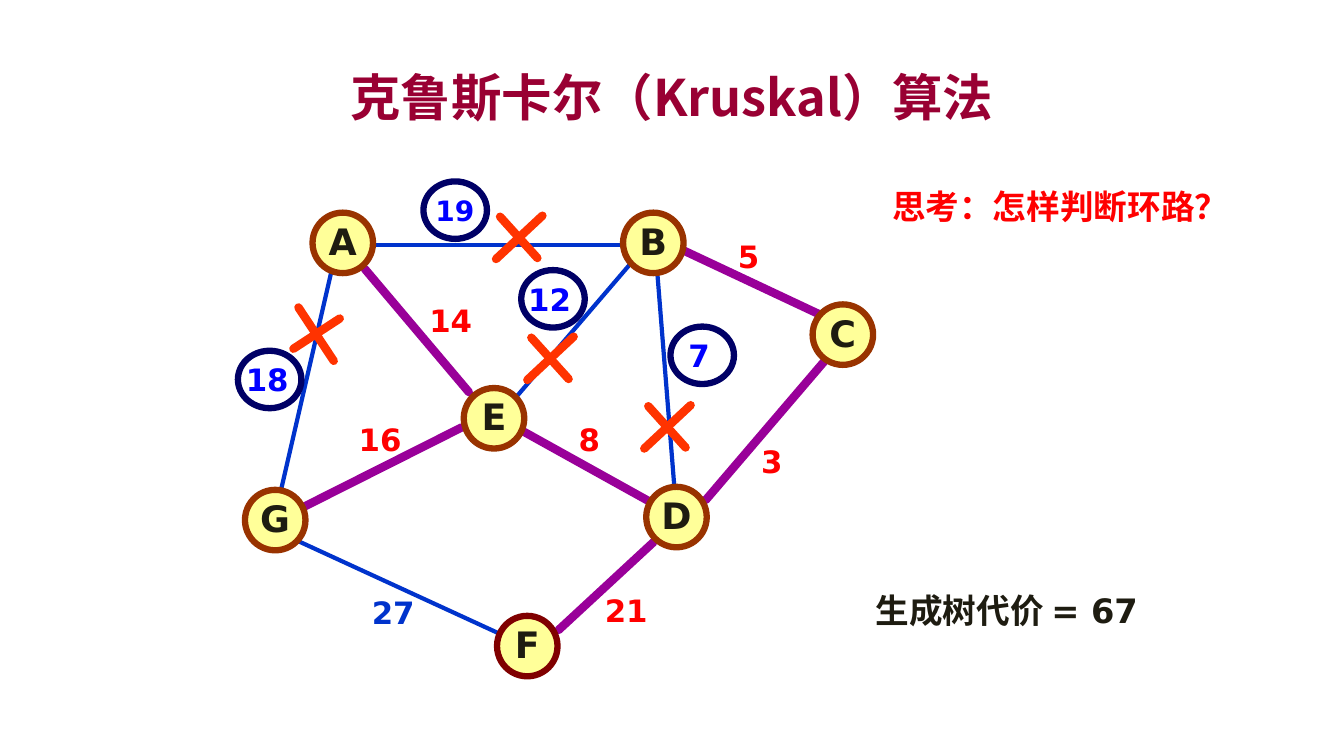
from lxml.etree import SubElement
from pptx import Presentation
from pptx.dml.color import RGBColor
from pptx.enum.shapes import MSO_CONNECTOR as Link, MSO_SHAPE as Shape
from pptx.enum.text import MSO_ANCHOR as Anchor, MSO_AUTO_SIZE as Fit, PP_ALIGN as Align
from pptx.oxml.ns import qn
from pptx.util import Emu, Pt

PX = 9144  # 100 px to the inch
NODE, LABEL_HEIGHT = 60, 47
RING = (63, 57)

# name: (left, top, outline)
NODES = {
    "A": (310, 211, "993300"),
    "B": (618, 211, "993300"),
    "C": (806, 302, "993300"),
    "D": (641, 483, "993300"),
    "E": (460, 385, "993300"),
    "F": (493, 611, "800000"),
    "G": (243, 486, "993300"),
}

# start, end, weight, weight's left and top
TREE_EDGES = [
    ((362, 267), (465, 389), 14, (416, 294)),
    ((519, 428), (645, 498), 8, (564, 412)),
    ((818, 358), (700, 496), 3, (745, 434)),
    ((679, 249), (813, 312), 5, (722, 231)),
    ((301, 503), (458, 424), 16, (346, 412)),
    ((648, 538), (554, 625), 21, (590, 582)),
]
REJECTED_EDGES = [
    ((369, 243), (617, 243), 19, (422, 187)),
    ((625, 262), (511, 395), 12, (514, 274)),
    ((329, 268), (279, 485), 18, (234, 353)),
    ((652, 271), (669, 485), 7, (673, 329)),
]
UNUSED_EDGES = [((294, 536), (494, 628), 27, (359, 584))]

RINGS = [(665, 324), (517, 268), (236, 348), (420, 180)]
CROSS = [((41, 42), (4, 1)), ((46, 0), (0, 43))]
TURNED_CROSS = [((46, 11), (0, 41)), ((5, 0), (40, 53))]
CROSSES = [
    (291, 305, TURNED_CROSS),
    (492, 214, CROSS),
    (523, 334, CROSS),
    (639, 402, CROSS),
]


def color(value):
    return RGBColor.from_string(value)


def px(*lengths):
    return [Emu(length * PX) for length in lengths]


class GraphPage:
    latin, asian = "DejaVu Sans", "Noto Sans CJK SC"

    def __init__(self, deck):
        self.page = deck.slides.add_slide(deck.slide_layouts[5])

    def set_text(self, frame, text, size, ink, latin=None, align=Align.LEFT):
        frame.text = text
        para = frame.paragraphs[0]
        para.alignment = align
        for span in para.runs:
            font = span.font
            font.name, font.size, font.bold = latin or self.latin, Pt(size), True
            font.color.rgb = color(ink)
            SubElement(font._element, qn("a:ea"), typeface=self.asian)

    def title(self, text, area):
        box = self.page.shapes.title
        box.left, box.top, box.width, box.height = px(*area)
        box.text_frame.auto_size = Fit.NONE
        box.text_frame.vertical_anchor = Anchor.MIDDLE
        self.set_text(box.text_frame, text, 36, "990033", self.asian, Align.CENTER)

    def text(self, text, area, size, ink, align=Align.LEFT, wrap=False, fit=Fit.NONE):
        box = self.page.shapes.add_textbox(*px(*area))
        box.text_frame.word_wrap = wrap
        box.text_frame.auto_size = fit
        self.set_text(box.text_frame, text, size, ink, align=align)
        return box

    def line(self, shapes, start, end, ink, width):
        link = shapes.add_connector(Link.STRAIGHT, *px(*start, *end))
        link.line.color.rgb = color(ink)
        link.line.width = Pt(width)
        properties = link._element.spPr
        properties.get_or_add_ln().set("cap", "rnd")
        SubElement(properties, qn("a:effectLst"))

    def ellipse(self, area, ink, fill=None):
        oval = self.page.shapes.add_shape(Shape.OVAL, *px(*area))
        oval.shadow.inherit = False
        if fill:
            oval.fill.solid()
            oval.fill.fore_color.rgb = color(fill)
        else:
            oval.fill.background()
        oval.line.color.rgb = color(ink)
        oval.line.width = Pt(4.5)
        return oval

    def edges(self, edges, ink, width, label_ink):
        for start, end, weight, label_at in edges:
            self.line(self.page.shapes, start, end, ink, width)
            label_width = 64 if weight > 9 else 42
            self.text(str(weight), (*label_at, label_width, LABEL_HEIGHT),
                      20 if weight == 19 else 22, label_ink, fit=Fit.SHAPE_TO_FIT_TEXT)

    def node(self, name, left, top, ink):
        frame = self.ellipse((left, top, NODE, NODE), ink, "FFFF99").text_frame
        frame.word_wrap = False
        frame.vertical_anchor = Anchor.MIDDLE
        frame.margin_top, frame.margin_bottom = px(0, 4)
        self.set_text(frame, name, 26, "1E1C11", align=Align.CENTER)

    def cross(self, left, top, strokes):
        group = self.page.shapes.add_group_shape()
        for (x1, y1), (x2, y2) in strokes:
            self.line(group.shapes, (left + x1, top + y1), (left + x2, top + y2), "FF3300", 6)


def main():
    deck = Presentation()
    deck.slide_width, deck.slide_height = px(1333, 750)
    graph = GraphPage(deck)
    graph.title("克鲁斯卡尔（Kruskal）算法", (100, 58, 1133, 75))

    graph.edges(REJECTED_EDGES, "0033CC", 3, "0000FF")
    graph.edges(UNUSED_EDGES, "0033CC", 3, "0033CC")
    graph.edges(TREE_EDGES, "990099", 6, "FF0000")
    for name, place in NODES.items():
        graph.node(name, *place)
    for corner in RINGS:
        graph.ellipse((*corner, *RING), "000066")
    for place in CROSSES:
        graph.cross(*place)

    graph.text("思考：怎样判断环路？", (867, 180, 369, 63), 24, "FF0000", Align.CENTER)
    cost = graph.text("生成树代价 = 67", (823, 560, 351, 68), 24, "1E1C11", Align.CENTER, wrap=True)
    cost.text_frame.paragraphs[0].line_spacing = 1.5
    deck.save("out.pptx")


if __name__ == "__main__":
    main()
